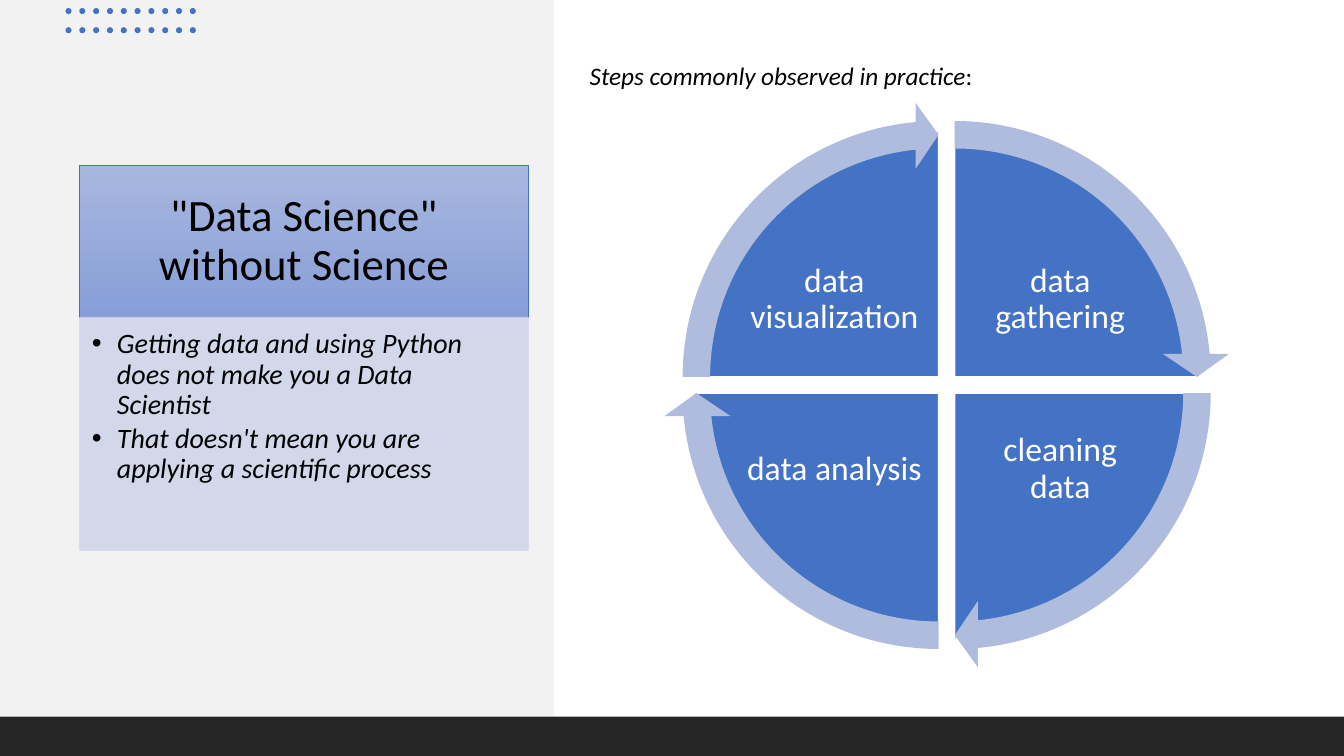
from lxml import etree
from pptx import Presentation
from pptx import util as u
from pptx.dml.color import RGBColor
from pptx.enum import shapes, text
from pptx.oxml.ns import qn

Inches, Pt = u.Inches, u.Pt
KIND, ALIGN, ANCHOR = shapes.MSO_SHAPE, text.PP_ALIGN, text.MSO_ANCHOR
FONT = "Calibri"
HEX = {
    "panel": "F2F2F2", "blue": "4472C4", "foot": "262626", "arrow": "B0BCDE",
    "light": "A8B7DF", "deep": "889ED7", "pale": "CFD5EA",
    "white": "FFFFFF", "black": "000000",
}
# Label, column side, row side, start angle (full turn = 216)
STEPS = [
    ("data gathering", 1, -1, 162),
    ("cleaning data", 1, 1, 0),
    ("data analysis", -1, 1, 54),
    ("data visualization", -1, -1, 108),
]
POINTS = [
    "Getting data and using Python does not make you a Data Scientist",
    "That doesn't mean you are applying a scientific process",
]


def rgb(name):
    return RGBColor.from_string(HEX[name])


def add_form(host, kind, box, fill, line=None, width=1, turns=()):
    form = host.add_shape(kind, *map(Inches, box))
    form.shadow.inherit = False
    form.fill.solid()
    form.fill.fore_color.rgb = rgb(fill)
    if line:
        form.line.color.rgb = rgb(line)
        form.line.width = Pt(width)
    else:
        form.line.fill.background()
    for i, turn in enumerate(turns):
        form.adjustments[i] = turn
    return form


def set_frame(frame, pads, anchor=ANCHOR.TOP):
    frame.word_wrap = True
    frame.auto_size = text.MSO_AUTO_SIZE.NONE
    frame.vertical_anchor = anchor
    (frame.margin_left, frame.margin_top,
     frame.margin_right, frame.margin_bottom) = map(Inches, pads)


def add_run(para, words, size, color="black", italic=False):
    run = para.add_run()
    run.text = words
    font = run.font
    font.name, font.size, font.italic = FONT, Pt(size), italic
    font.color.rgb = rgb(color)


def add_text(host, box, pads, anchor=ANCHOR.TOP):
    frame = host.add_textbox(*map(Inches, box)).text_frame
    set_frame(frame, pads, anchor)
    return frame


def add_bullet(para):
    props = para._p.get_or_add_pPr()
    props.set("marL", str(Inches(0.25)))
    props.set("indent", str(Inches(-0.25)))
    etree.SubElement(props, qn("a:buFont")).set("typeface", "Arial")
    etree.SubElement(props, qn("a:buChar")).set("char", "•")


def fade(form, share):
    for color in form.element.spPr.iter(qn("a:srgbClr")):
        etree.SubElement(color, qn("a:alpha")).set("val", str(share * 1000))


def add_dots(host):
    group = host.add_group_shape().shapes
    for row in range(2):
        for col in range(10):
            box = (0.65 + col * 0.137, 0.08 + row * 0.19, 0.06, 0.06)
            add_form(group, KIND.OVAL, box, "blue")


def add_title(slide):
    title = slide.shapes.title
    slide.shapes.element.append(title.element)  # bring above the panel
    title.left, title.top, title.width, title.height = map(
        Inches, (0.79, 1.64, 4.45, 1.51))
    title.fill.gradient()
    title.fill.gradient_angle = 270
    for stop, name in zip(title.fill.gradient_stops, ("light", "deep")):
        stop.color.rgb = rgb(name)
    title.line.color.rgb = rgb("blue")
    title.line.width = Pt(0.5)
    set_frame(title.text_frame, (0.25, 0.14, 0.25, 0.14), ANCHOR.MIDDLE)
    para = title.text_frame.paragraphs[0]
    para.alignment, para.line_spacing = ALIGN.CENTER, 0.9
    add_run(para, '"Data Science" without Science', 32)


def add_points(host):
    box = (0.79, 3.15, 4.45, 2.31)
    fade(add_form(host, KIND.RECTANGLE, box, "pale", "pale", 0.5), 90)
    frame = add_text(host, box, (0.12, 0.12, 0.16, 0.17))
    for i, words in enumerate(POINTS):
        para = frame.add_paragraph() if i else frame.paragraphs[0]
        para.line_spacing, para.space_after = 0.9, Pt(3)
        add_bullet(para)
        add_run(para, words, 20, italic=True)


def add_cycle(host):
    # Quarters with their labels
    for words, dx, dy, start in STEPS:
        box = (6.96 + 0.08 * dx, 1.39 + 0.08 * dy, 4.86, 4.86)
        add_form(host, KIND.PIE, box, "blue", "white",
                 turns=(start, (start + 54) % 216))
        frame = add_text(host, (8.5 + 1.12 * dx, 3.15 + 0.84 * dy, 1.79, 1.33),
                         (0.03,) * 4, ANCHOR.MIDDLE)
        para = frame.paragraphs[0]
        para.alignment, para.line_spacing = ALIGN.CENTER, 0.9
        add_run(para, words, 24, "white")
    # Arrows around the rim
    for _, dx, dy, start in STEPS:
        box = (6.66 + 0.08 * dx, 1.09 + 0.08 * dy, 5.46, 5.46)
        add_form(host, KIND.CIRCULAR_ARROW, box, "arrow",
                 turns=(0.05, 3.28, (start + 50.72) % 216, start, 0.06))


def main():
    deck = Presentation()
    deck.slide_width, deck.slide_height = Inches(13.33), Inches(7.5)
    slide = deck.slides.add_slide(deck.slide_layouts[5])
    host = slide.shapes

    # Background
    add_form(host, KIND.RECTANGLE, (0, 0, 5.49, 7.1), "panel")
    add_dots(host)
    add_form(host, KIND.RECTANGLE, (0, 7.11, 13.33, 0.39), "foot")

    # Right side
    add_cycle(host)
    lead = add_text(host, (5.75, 0.55, 4.1, 0.4), (0.1, 0.05, 0.1, 0.05))
    add_run(lead.paragraphs[0], "Steps commonly observed in practice", 18,
            italic=True)
    add_run(lead.paragraphs[0], ":", 18)

    # Left side
    add_title(slide)
    add_points(host)
    deck.save("out.pptx")


if __name__ == "__main__":
    main()
